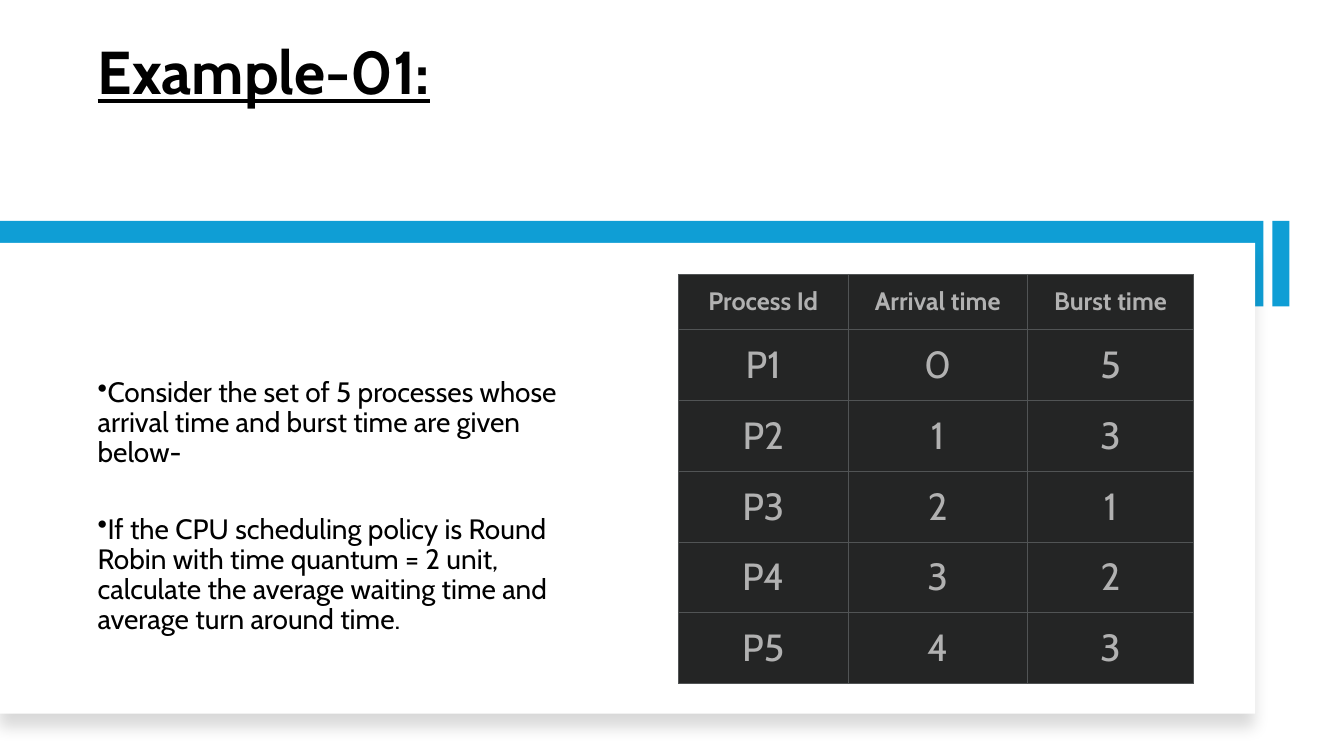
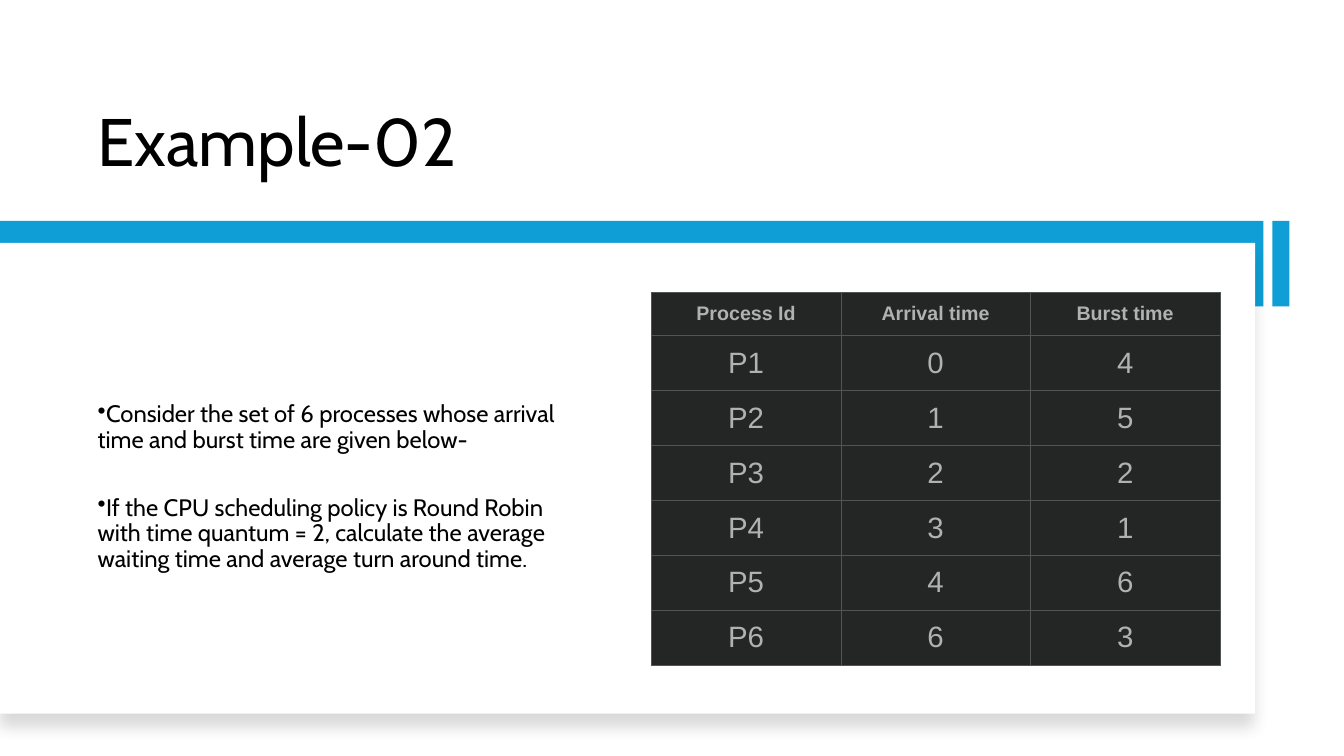
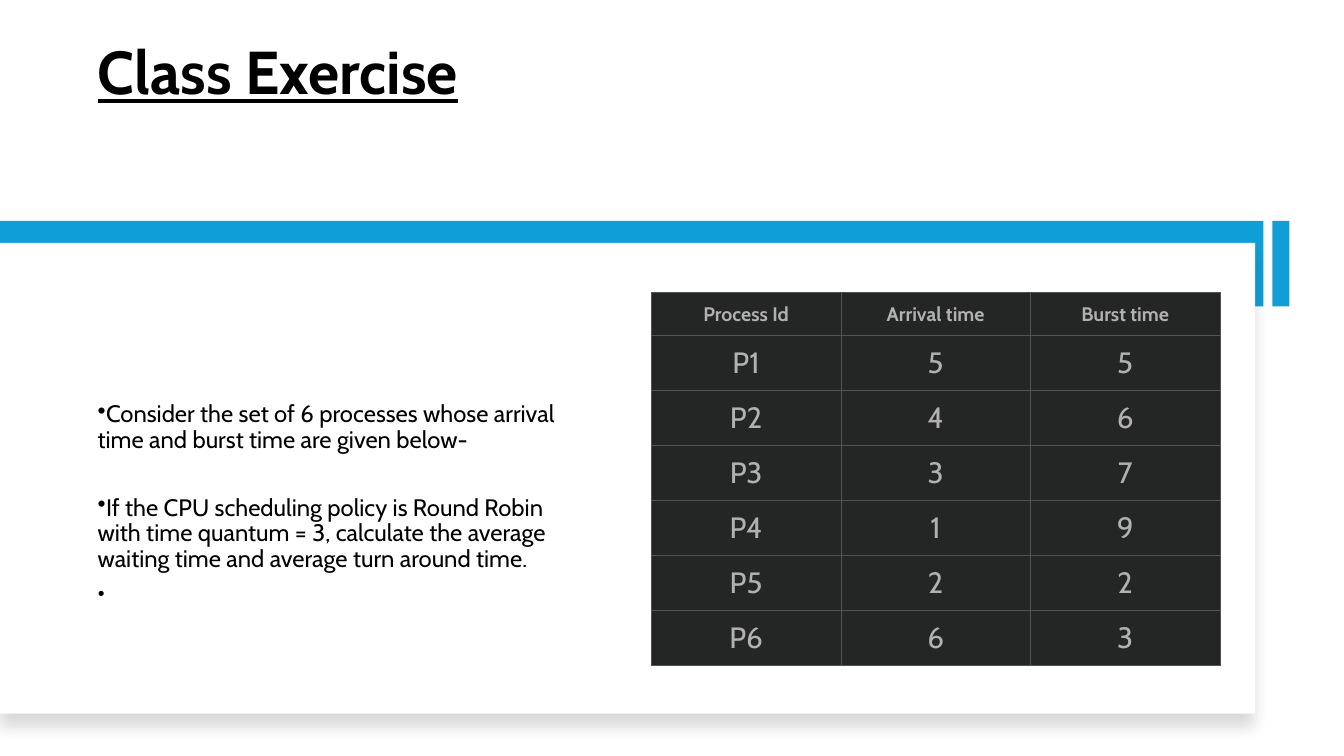
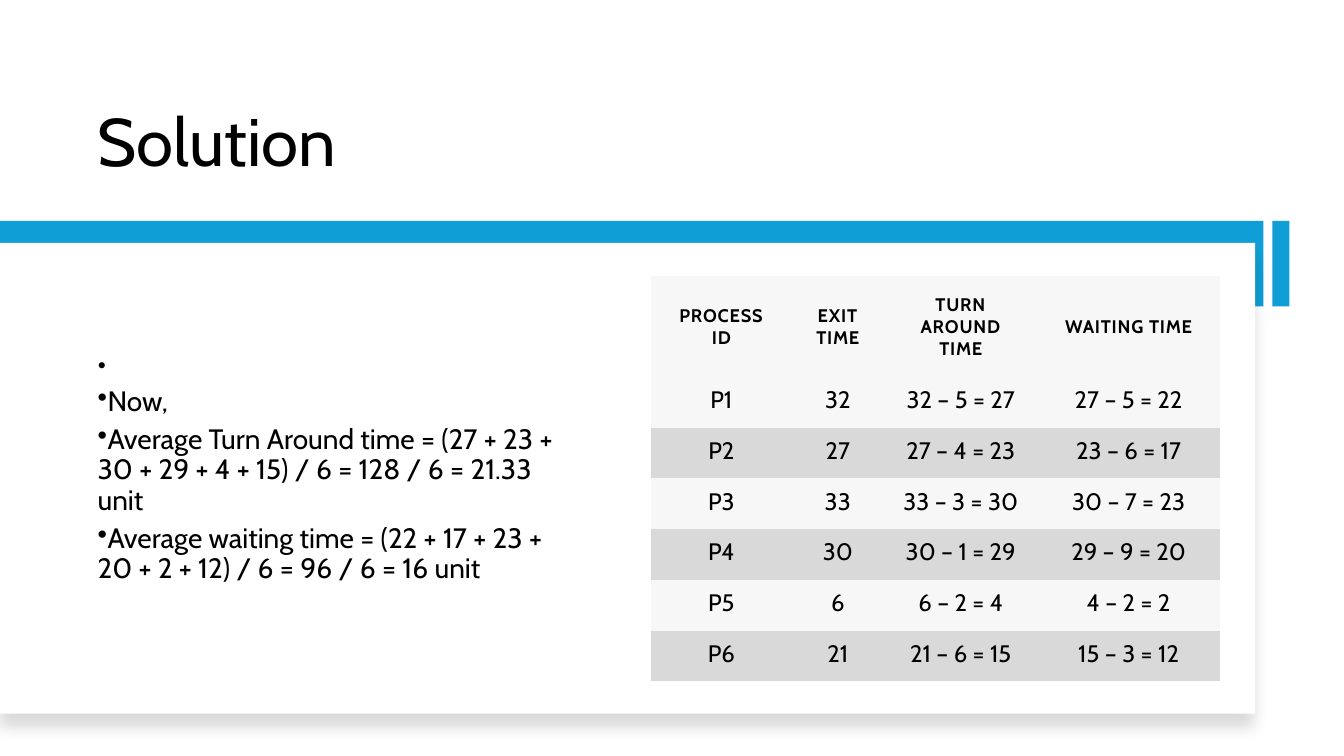
from dataclasses import dataclass

from lxml.etree import SubElement
from pptx import Presentation
from pptx.dml.color import RGBColor
from pptx.enum.shapes import MSO_SHAPE
from pptx.enum.text import MSO_ANCHOR, PP_ALIGN
from pptx.oxml.ns import qn
from pptx.util import Inches, Pt


# Theme
@dataclass(frozen=True)
class Theme:
    font: str = "Cabin"
    ink: str = "000000"
    paper: str = "FFFFFF"
    accent: str = "0F9ED5"
    dark_fill: str = "242525"
    dark_ink: str = "B1B1B1"
    dark_border: str = "515455"
    light_rows: tuple = ("F7F7F7", "D9D9D9")
    title_size: float = 48
    underlined_title_size: float = 43.2
    line_spacing: float = 0.9
    bullet_gap: float = 5.5
    no_table_style: str = "{2D5ABB26-0587-4C30-8999-92F81FD0307C}"


THEME = Theme()
BULLET = "•"

# Table looks: insets are left, top, right, bottom in inches
LARGE_DARK = dict(
    left=6.73, top=2.72, height=4.06, header_height=0.55, columns=[1.68, 1.78, 1.65],
    sizes=(18, 27), insets=[(0.12, 0.1, 0.12, 0.1)] * 2, dark=True, font=THEME.font)
SMALL_DARK = dict(
    left=6.46, top=2.9, height=3.7, header_height=0.43, columns=[1.88] * 3,
    sizes=(14, 21), insets=[(0.1, 0.08, 0.1, 0.08)] * 2, dark=True, font=THEME.font)
LIGHT = dict(
    left=6.46, top=2.74, height=4.02, header_height=1, columns=[1.39, 0.92, 1.52, 1.81],
    sizes=(13, 17), insets=[(0.16,) * 4, (0.09, 0.07, 0.09, 0.11)],
    dark=False, font=THEME.font)

# Content
PROCESS_HEADER = ("Process Id", "Arrival time", "Burst time")
SIX_PROCESSES = ("Consider the set of 6 processes whose arrival time "
                 "and burst time are given below-")

SLIDES = [
    dict(
        title="Example-01:", underlined=True,
        points=[
            "Consider the set of 5 processes whose arrival time and burst time "
            "are given below-",
            "If the CPU scheduling policy is Round Robin with time quantum = 2 unit, "
            "calculate the average waiting time and average turn around time.",
        ],
        points_top=3.7, points_size=20, wide_gap=33,
        look=LARGE_DARK,
        rows=[PROCESS_HEADER, ("P1", "0", "5"), ("P2", "1", "3"), ("P3", "2", "1"),
              ("P4", "3", "2"), ("P5", "4", "3")],
    ),
    dict(
        title="Example-02", underlined=False,
        points=[
            SIX_PROCESSES,
            "If the CPU scheduling policy is Round Robin with time quantum = 2, "
            "calculate the average waiting time and average turn around time.",
        ],
        points_top=3.94, points_size=17, wide_gap=30,
        look=SMALL_DARK | {"font": "Arial"},
        rows=[PROCESS_HEADER, ("P1", "0", "4"), ("P2", "1", "5"), ("P3", "2", "2"),
              ("P4", "3", "1"), ("P5", "4", "6"), ("P6", "6", "3")],
    ),
    dict(
        title="Class Exercise", underlined=True,
        points=[
            SIX_PROCESSES,
            "If the CPU scheduling policy is Round Robin with time quantum = 3, "
            "calculate the average waiting time and average turn around time.",
            BULLET,
        ],
        points_top=3.94, points_size=17, wide_gap=30,
        look=SMALL_DARK,
        rows=[PROCESS_HEADER, ("P1", "5", "5"), ("P2", "4", "6"), ("P3", "3", "7"),
              ("P4", "1", "9"), ("P5", "2", "2"), ("P6", "6", "3")],
    ),
    dict(
        title="Solution", underlined=False,
        points=[
            BULLET,
            "Now,",
            "Average Turn Around time = (27 + 23 + 30 + 29 + 4 + 15) / 6 "
            "= 128 / 6 = 21.33 unit",
            "Average waiting time = (22 + 17 + 23 + 20 + 2 + 12) / 6 = 96 / 6 = 16 unit",
        ],
        points_top=3.42, points_size=20, wide_gap=THEME.bullet_gap,
        look=LIGHT,
        rows=[
            ("PROCESS ID", "EXIT TIME", "TURN AROUND TIME", "WAITING TIME"),
            ("P1", "32", "32 – 5 = 27", "27 – 5 = 22"),
            ("P2", "27", "27 – 4 = 23", "23 – 6 = 17"),
            ("P3", "33", "33 – 3 = 30", "30 – 7 = 23"),
            ("P4", "30", "30 – 1 = 29", "29 – 9 = 20"),
            ("P5", "6", "6 – 2 = 4", "4 – 2 = 2"),
            ("P6", "21", "21 – 6 = 15", "15 – 3 = 12"),
        ],
    ),
]


# Helpers
def style_runs(paragraph, size, color=THEME.ink, font=THEME.font, bold=False):
    for run in paragraph.runs:
        run.font.name = font
        run.font.size = Pt(size)
        run.font.bold = bold
        run.font.color.rgb = RGBColor.from_string(color)


def add_block(slide, left, top, width, height, color):
    block = slide.shapes.add_shape(
        MSO_SHAPE.RECTANGLE, Inches(left), Inches(top), Inches(width), Inches(height))
    block.fill.solid()
    block.fill.fore_color.rgb = RGBColor.from_string(color)
    block.line.fill.background()
    block.shadow.inherit = False
    return block


def add_text_frame(slide, left, top, width, height, anchor):
    box = slide.shapes.add_textbox(
        Inches(left), Inches(top), Inches(width), Inches(height))
    box.text_frame.word_wrap = True
    box.text_frame.vertical_anchor = anchor
    return box.text_frame


def cast_shadow(block):
    effects = block._element.spPr.find(qn("a:effectLst"))
    shadow = SubElement(effects, qn("a:outerShdw"), blurRad=str(Pt(11)),
                        dist=str(Pt(10)), dir="5400000", algn="t", rotWithShape="0")
    shade = SubElement(shadow, qn("a:srgbClr"), val=THEME.ink)
    SubElement(shade, qn("a:alpha"), val="15000")


def add_border(cell, color):
    properties = cell._tc.get_or_add_tcPr()
    for side in ("lnL", "lnR", "lnT", "lnB"):
        edge = SubElement(properties, qn(f"a:{side}"), w=str(Pt(0.6)))
        fill = SubElement(edge, qn("a:solidFill"))
        SubElement(fill, qn("a:srgbClr"), val=color)


# Slide parts
def add_frame(slide):
    add_block(slide, 0, 2.19, 12.53, 0.85, THEME.accent)
    cast_shadow(add_block(slide, 0, 2.41, 12.45, 4.67, THEME.paper))
    add_block(slide, 12.62, 2.19, 0.17, 0.85, THEME.accent)


def add_title(slide, title, underlined):
    height = 0.7 if underlined else 1.42
    frame = add_text_frame(slide, 0.87, 0.42, 11.01, height, MSO_ANCHOR.BOTTOM)
    frame.text = title
    heading = frame.paragraphs[0]
    heading.line_spacing = THEME.line_spacing
    size = THEME.underlined_title_size if underlined else THEME.title_size
    style_runs(heading, size, bold=underlined)
    heading.runs[0].font.underline = underlined


def add_points(slide, points, top, size, wide_gap):
    frame = add_text_frame(slide, 0.87, top, 4.96, 6.82 - top, MSO_ANCHOR.TOP)
    frame.text = "\n".join(points)
    for index, paragraph in enumerate(frame.paragraphs):
        if paragraph.text != BULLET:
            properties = paragraph._p.get_or_add_pPr()
            properties.set("marL", "0")
            properties.set("indent", str(-Inches(0.25)))
            SubElement(properties, qn("a:buChar"), char=BULLET)
        paragraph.line_spacing = THEME.line_spacing
        if index:
            paragraph.space_before = Pt(wide_gap if index == 1 else THEME.bullet_gap)
        style_runs(paragraph, size)


def add_process_table(slide, rows, look):
    columns = look["columns"]
    table = slide.shapes.add_table(
        len(rows), len(columns), Inches(look["left"]), Inches(look["top"]),
        Inches(sum(columns)), Inches(look["height"])).table
    table._tbl.tblPr.find(qn("a:tableStyleId")).text = THEME.no_table_style
    for column, width in zip(table.columns, columns):
        column.width = Inches(width)

    body_height = (look["height"] - look["header_height"]) / (len(rows) - 1)
    for row_index, values in enumerate(rows):
        is_header = row_index == 0
        kind = 0 if is_header else 1
        table.rows[row_index].height = Inches(
            look["header_height"] if is_header else body_height)
        light_fill = THEME.light_rows[0 if is_header else (row_index - 1) % 2]
        for column_index, value in enumerate(values):
            cell = table.cell(row_index, column_index)
            cell.text = value
            cell.vertical_anchor = MSO_ANCHOR.MIDDLE
            (cell.margin_left, cell.margin_top, cell.margin_right,
             cell.margin_bottom) = map(Inches, look["insets"][kind])
            if look["dark"]:
                add_border(cell, THEME.dark_border)
            cell.fill.solid()
            cell.fill.fore_color.rgb = RGBColor.from_string(
                THEME.dark_fill if look["dark"] else light_fill)
            paragraph = cell.text_frame.paragraphs[0]
            paragraph.alignment = PP_ALIGN.CENTER
            style_runs(paragraph, look["sizes"][kind],
                       THEME.dark_ink if look["dark"] else THEME.ink,
                       look["font"], is_header)
            if is_header and not look["dark"]:
                paragraph.runs[0].font._element.set("spc", "60")


def main():
    deck = Presentation()
    deck.slide_width, deck.slide_height = Inches(13.33), Inches(7.5)
    for content in SLIDES:
        slide = deck.slides.add_slide(deck.slide_layouts[6])
        add_title(slide, content["title"], content["underlined"])
        add_frame(slide)
        add_points(slide, content["points"], content["points_top"],
                   content["points_size"], content["wide_gap"])
        add_process_table(slide, content["rows"], content["look"])
    deck.save("out.pptx")


if __name__ == "__main__":
    main()
